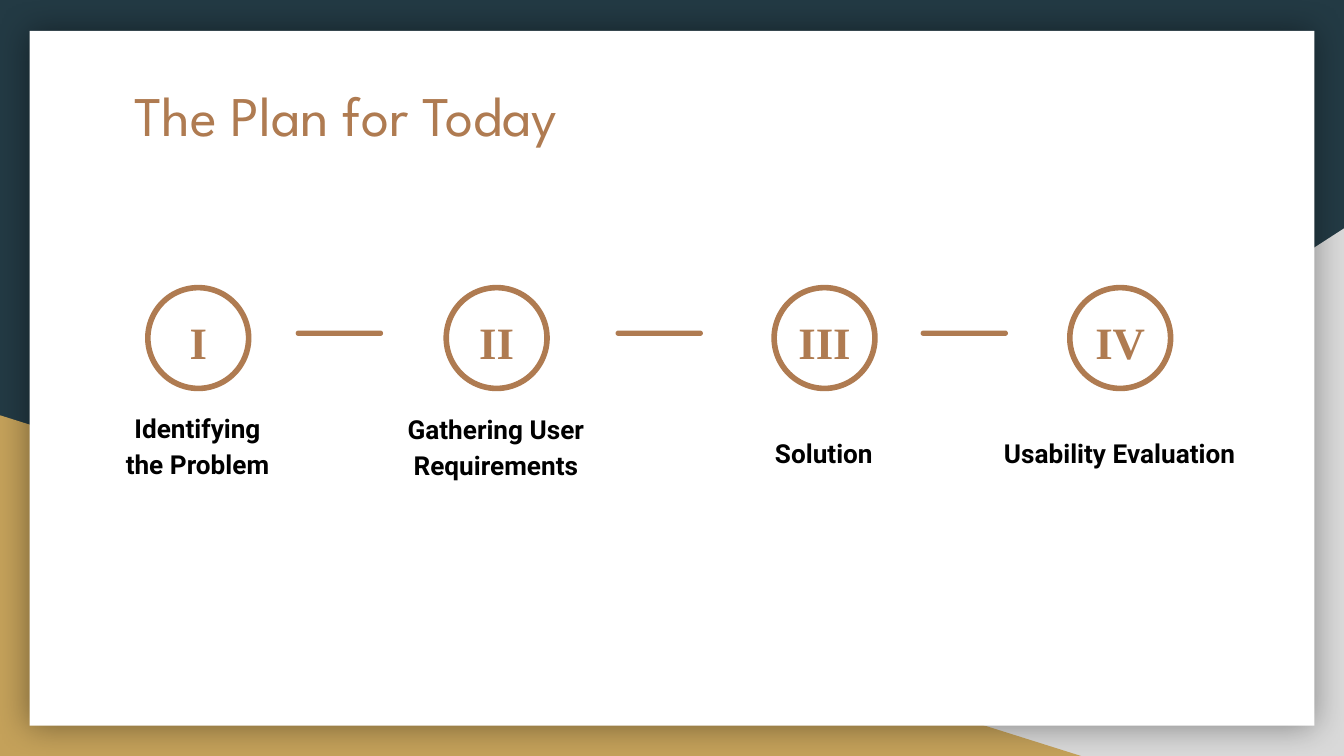
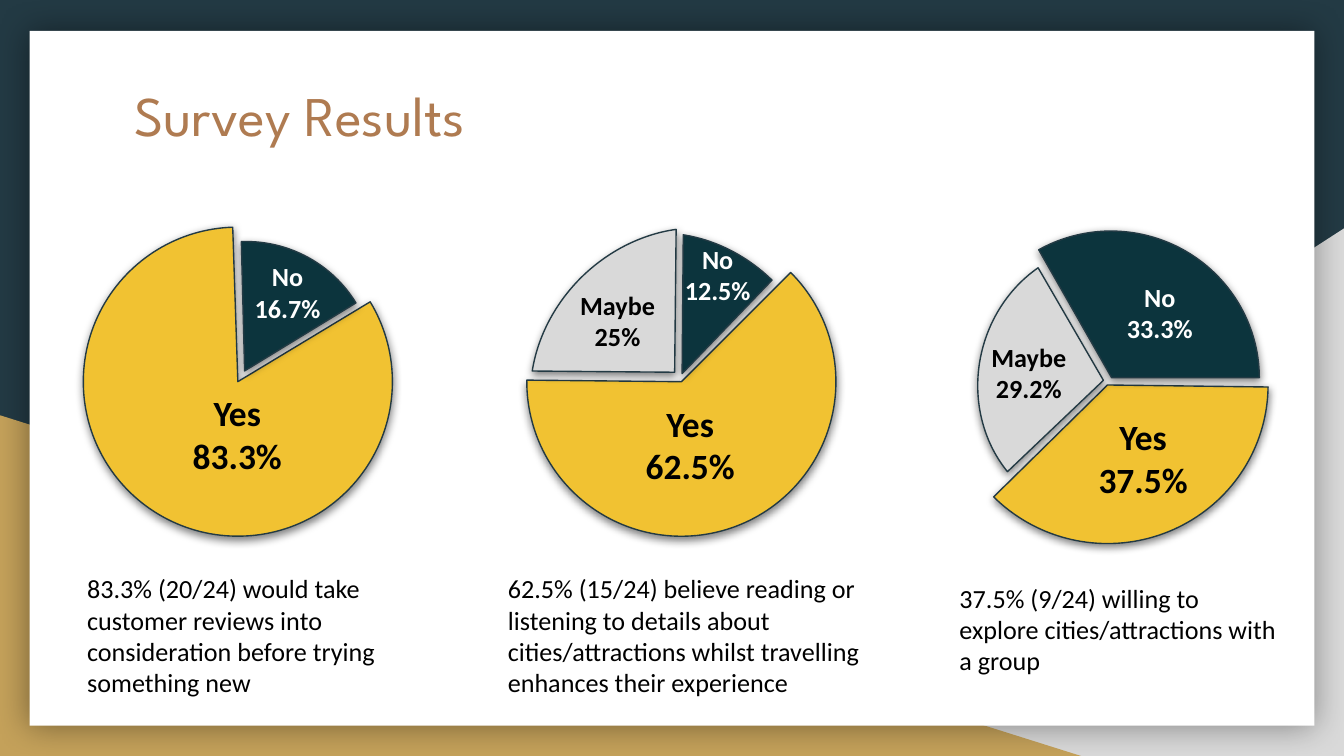
import pptx
import pptx.dml.color
import pptx.enum.shapes
import pptx.enum.text
import pptx.oxml
import pptx.oxml.ns
import pptx.util

Inches = pptx.util.Inches
Pt = pptx.util.Pt
SHAPES = pptx.enum.shapes.MSO_SHAPE
ANCHOR = pptx.enum.text.MSO_ANCHOR
CENTER = pptx.enum.text.PP_ALIGN.CENTER

NAVY, TEAL, SAND, YELLOW = "233A44", "0C343D", "C4A15A", "F1C232"
COPPER, GRAY, WHITE, BLACK = "AF7B51", "D9D9D9", "FFFFFF", "000000"

CARD_SHADOW = {"alpha": 40, "blur": 18, "distance": 0, "angle": 0}
WEDGE_SHADOW = {"alpha": 50, "blur": 4.5, "distance": 1.5, "angle": 90}

TEXT_STYLES = {
    "title": {"font": {"name": "League Spartan", "size": Pt(30)}},
    "numeral": {
        "font": {"name": "Times New Roman", "size": Pt(24), "bold": True},
        "paragraph": {"alignment": CENTER, "line_spacing": 1.15, "space_after": Pt(16)},
    },
    "step": {
        "font": {"name": "Roboto", "size": Pt(14), "bold": True},
        "paragraph": {"alignment": CENTER, "line_spacing": 1.15},
        "frame": {"vertical_anchor": ANCHOR.BOTTOM},
    },
    "main share": {
        "font": {"name": "Calibri", "size": Pt(19), "bold": True},
        "paragraph": {"alignment": CENTER},
    },
    "share": {
        "font": {"name": "Calibri", "size": Pt(14), "bold": True},
        "paragraph": {"alignment": CENTER},
    },
    "finding": {"font": {"name": "Calibri", "size": Pt(14)}},
}

CIRCLE_SIZE = 0.75
STEPS = [
    ("I", "Identifying\nthe Problem", 1.1, 3.11),
    ("II", "Gathering User\nRequirements", 3.32, 3.12),
    ("III", "Solution", 5.76, 3.03),
    ("IV", "Usability Evaluation", 7.96, 3.03),
]
DASH_LEFTS = [2.2, 4.58, 6.85]

WEDGES = [
    (YELLOW, (0.62, 1.69, 2.3, 2.3), 328.9, (0, 179.516)),
    (TEAL, (0.86, 1.79, 1.92, 1.94), 58.9, (125.77, 161.81)),
    (YELLOW, (3.92, 1.69, 2.3, 2.3), 315, (0, 135.35)),
    (GRAY, (4.03, 1.62, 1.98, 2.3), 45, (81.279, 135.35)),
    (TEAL, (4.11, 1.66, 1.93, 2.24), 135, (81.279, 107.319)),
    (YELLOW, (7.06, 1.67, 2.36, 2.39), 90, (162.435, 27.283)),
    (GRAY, (7.28, 1.82, 1.86, 2.02), 14.3, (73.273, 135.35)),
    (TEAL, (7.18, 1.71, 2.18, 2.2), 104.2, (81.676, 153.478)),
]
ANSWERS = {
    "Yes": ("main share", BLACK, 0.89, 0.59),
    "No": ("share", WHITE, 0.78, 0.52),
    "Maybe": ("share", BLACK, 0.89, 0.59),
}
SHARES = [
    ("Yes", "83.3%", 1.32, 2.81),
    ("No", "16.7%", 1.75, 1.84),
    ("Yes", "62.5%", 4.69, 2.89),
    ("No", "12.5%", 4.95, 1.71),
    ("Maybe", "25%", 4.15, 2.05),
    ("Yes", "37.5%", 8.06, 2.99),
    ("No", "33.3%", 8.24, 1.99),
    ("Maybe", "29.2%", 7.21, 2.44),
]
FINDINGS = [
    ("83.3% (20/24) would take customer reviews into consideration before trying "
     "something new", (0.55, 4.16, 2.87, 1.18)),
    ("62.5% (15/24) believe reading or listening to details about cities/attractions "
     "whilst travelling enhances their experience", (3.68, 4.16, 3.11, 1.18)),
    ("37.5% (9/24) willing to explore cities/attractions with a group",
     (7.04, 4.23, 2.61, 1.18)),
]


def color(value):
    """Return the RGB colour for a hex string."""
    return pptx.dml.color.RGBColor.from_string(value)


def apply(target, values):
    """Set every named value on the target."""
    for name, value in values.items():
        setattr(target, name, value)


class Deck:
    """Hold the presentation, its style and the current slide."""

    def __init__(self):
        """Start an empty widescreen presentation."""
        self.presentation = pptx.Presentation()
        self.presentation.slide_width = Inches(10)
        self.presentation.slide_height = Inches(5.625)
        self.slide = None

    def add_slide(self, title):
        """Add a slide with the shared backdrop, card and title."""
        layout = self.presentation.slide_layouts[6]
        self.slide = self.presentation.slides.add_slide(layout)
        fill = self.slide.background.fill
        fill.solid()
        fill.fore_color.rgb = color(NAVY)
        corner = self.add_shape(SHAPES.RIGHT_TRIANGLE, (3.92, 1.7, 6.08, 3.93), fill=GRAY)
        corner._element.spPr.find(pptx.oxml.ns.qn("a:xfrm")).set("flipH", "1")
        self.add_shape(SHAPES.RIGHT_TRIANGLE, (0, 3.09, 8.06, 2.54), fill=SAND)
        card = self.add_shape(SHAPES.RECTANGLE, (0.22, 0.23, 9.56, 5.17), fill=WHITE)
        self.add_shadow(card, **CARD_SHADOW)
        self.add_text(title, (0.9, 0.5, 8.21, 1.04), "title", COPPER)

    def add_shape(self, kind, box, fill=None, line=None, width=0.75):
        """Add a preset shape with an optional fill and outline."""
        shape = self.slide.shapes.add_shape(kind, *map(Inches, box))
        shape.shadow.inherit = False
        if fill:
            shape.fill.solid()
            shape.fill.fore_color.rgb = color(fill)
        else:
            shape.fill.background()
        if line:
            shape.line.color.rgb = color(line)
            shape.line.width = Pt(width)
        else:
            shape.line.fill.background()
        return shape

    def add_shadow(self, shape, alpha, blur, distance, angle):
        """Give a shape a soft black outer shadow."""
        effects = shape._element.spPr.find(pptx.oxml.ns.qn("a:effectLst"))
        effects.append(pptx.oxml.parse_xml(
            f'<a:outerShdw {pptx.oxml.ns.nsdecls("a")} blurRad="{Pt(blur)}" '
            f'dist="{Pt(distance)}" dir="{angle * 60000}" algn="bl" rotWithShape="0">'
            f'<a:srgbClr val="{BLACK}"><a:alpha val="{alpha * 1000}"/></a:srgbClr>'
            f'</a:outerShdw>'))

    def add_wedge(self, fill, box, rotation, angles):
        """Add one rotated slice of a pie."""
        wedge = self.add_shape(SHAPES.PIE, box, fill=fill, line=NAVY)
        wedge.rotation = rotation
        for index, angle in enumerate(angles):
            wedge.adjustments[index] = angle
        self.add_shadow(wedge, **WEDGE_SHADOW)

    def add_dash(self, left):
        """Add a rounded dash between two steps."""
        dash = self.add_shape(SHAPES.ROUNDED_RECTANGLE, (left, 2.46, 0.65, 0.04), fill=COPPER)
        dash.adjustments[0] = 0.5

    def add_text(self, text, box, style, text_color):
        """Add a text box with one paragraph for each line of text."""
        formats = TEXT_STYLES[style]
        frame = self.slide.shapes.add_textbox(*map(Inches, box)).text_frame
        frame.word_wrap = True
        for side in ("left", "top", "right", "bottom"):
            setattr(frame, f"margin_{side}", Inches(0.1))
        apply(frame, formats.get("frame", {}))
        frame.text = text
        for paragraph in frame.paragraphs:
            apply(paragraph, formats.get("paragraph", {}))
            for run in paragraph.runs:
                apply(run.font, formats["font"])
                run.font.color.rgb = color(text_color)

    def add_step(self, numeral, label, left, label_top):
        """Add a circled numeral with its label centred below."""
        self.add_shape(SHAPES.OVAL, (left, 2.14, CIRCLE_SIZE, CIRCLE_SIZE),
                       line=COPPER, width=3)
        center = left + CIRCLE_SIZE / 2
        self.add_text(numeral, (center - 0.45, 2.18, 0.9, 0.68), "numeral", COPPER)
        self.add_text(label, (center - 1.08, label_top, 2.15, 0.56), "step", BLACK)

    def add_share(self, answer, percent, left, top):
        """Add the label of a pie slice."""
        style, text_color, width, height = ANSWERS[answer]
        self.add_text(f"{answer}\n{percent}", (left, top, width, height), style, text_color)


def main():
    """Build both slides and save the presentation."""
    deck = Deck()
    deck.add_slide("The Plan for Today")
    for step in STEPS:
        deck.add_step(*step)
    for left in DASH_LEFTS:
        deck.add_dash(left)

    deck.add_slide("Survey Results")
    for wedge in WEDGES:
        deck.add_wedge(*wedge)
    for share in SHARES:
        deck.add_share(*share)
    for text, box in FINDINGS:
        deck.add_text(text, box, "finding", BLACK)
    deck.presentation.save("out.pptx")


if __name__ == "__main__":
    main()
